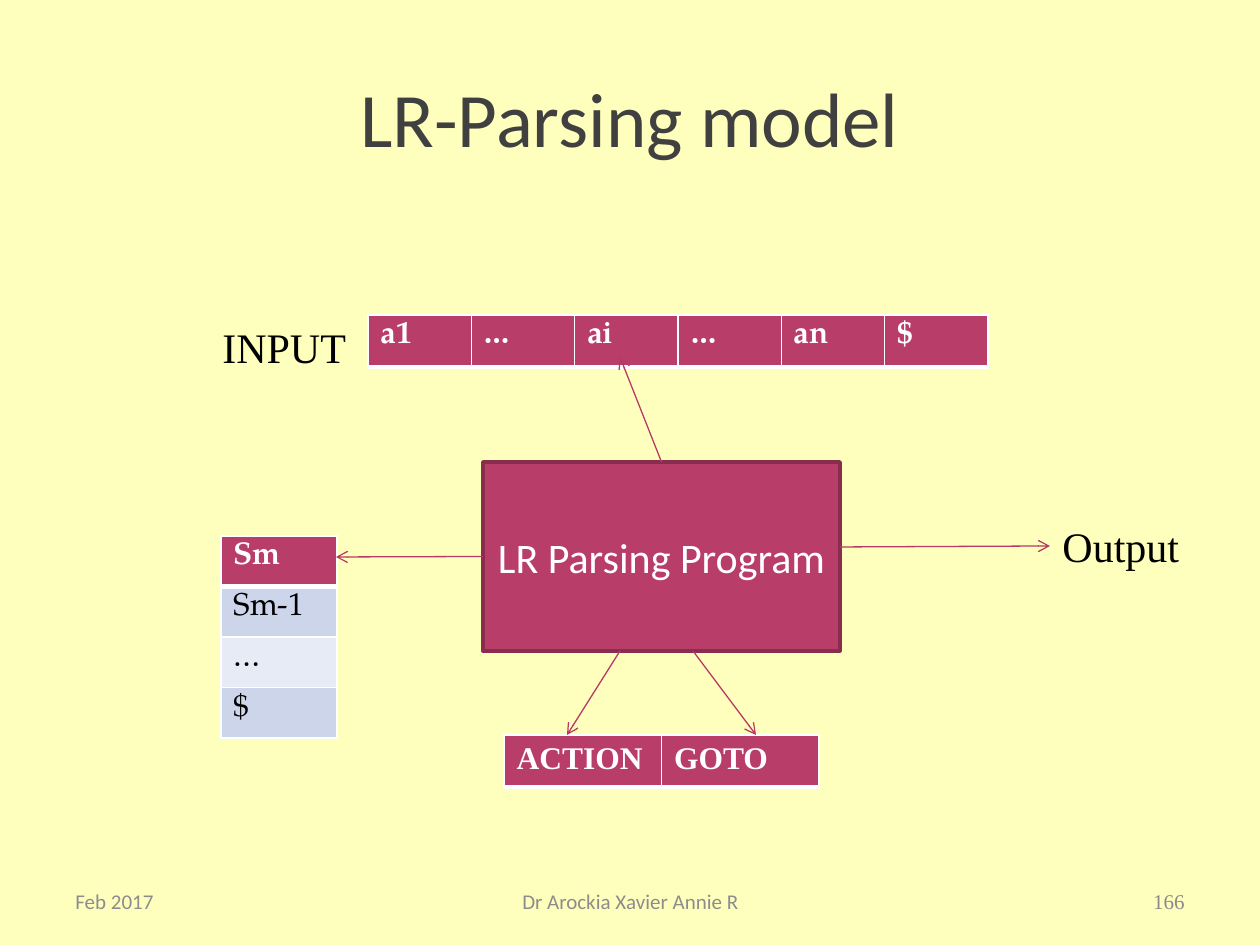
import pptx
import pptx.dml.color
import pptx.enum.shapes
import pptx.enum.text
import pptx.oxml
import pptx.oxml.ns
import pptx.util

THEME = {
    "background": "FFFFBD", "title": "404040", "footer": "8C8C8C", "number": "898989",
    "ink": "000000", "white": "FFFFFF", "accent": "B83D68", "edge": "882D4D",
    "arrow": "B73965", "band_dark": "CCD5EA", "band_light": "E7EBF5",
    "sans": "Calibri", "serif": "Times New Roman", "book": "TeX Gyre Pagella",
    "title_size": 44, "label_size": 24, "cell_size": 18, "footer_size": 12,
}
EMU_PER_PX = 914400 / 126
ALIGN = pptx.enum.text.PP_ALIGN
ANCHOR = pptx.enum.text.MSO_ANCHOR
AUTO = pptx.enum.text.MSO_AUTO_SIZE
NAMESPACE = pptx.oxml.ns.nsdecls("a")


def px(*lengths):
    return [pptx.util.Emu(round(length * EMU_PER_PX)) for length in lengths]


def write(frame, text, size, face, color, align=ALIGN.LEFT, bold=False):
    paragraph = frame.paragraphs[0]
    paragraph.text = text
    paragraph.alignment = align
    style = {"size": pptx.util.Pt(THEME[size]), "name": THEME[face], "bold": bold}
    for attribute, value in style.items():
        setattr(paragraph.runs[0].font, attribute, value)
    paragraph.runs[0].font.color.rgb = pptx.dml.color.RGBColor.from_string(THEME[color])


deck = pptx.Presentation()
deck.slide_width, deck.slide_height = px(1260, 945)
slide = deck.slides.add_slide(deck.slide_layouts[6])
slide.background.fill.solid()
slide.background.fill.fore_color.rgb = pptx.dml.color.RGBColor.from_string(THEME["background"])

# Tables: input buffer, state stack, parsing tables
tables = [
    ((368, 315, 620, 52), [["a1", "…", "ai", "…", "an", "$"]], "book"),
    ((221, 536, 116, 202), [["Sm"], ["Sm-1"], ["…"], ["$"]], "book"),
    ((504, 735, 315, 52), [["ACTION", "GOTO"]], "serif"),
]
for box, rows, face in tables:
    grid = slide.shapes.add_table(len(rows), len(rows[0]), *px(*box)).table
    grid.horz_banding = False
    for row, texts in enumerate(rows):
        header = row == 0
        fill = "accent" if header else ("band_dark" if row % 2 else "band_light")
        borders = {"lnL": 1, "lnR": 1, "lnT": 3 if row == 1 else 1, "lnB": 3 if header else 1}
        for column, text in enumerate(texts):
            cell = grid.cell(row, column)
            cell.fill.solid()
            cell.fill.fore_color.rgb = pptx.dml.color.RGBColor.from_string(THEME[fill])
            write(cell.text_frame, text, "cell_size", face,
                  "white" if header else "ink", bold=header)
            properties = cell._tc.get_or_add_tcPr()
            for place, (side, width) in enumerate(borders.items()):
                properties.insert(place, pptx.oxml.parse_xml(
                    f'<a:{side} {NAMESPACE} w="{pptx.util.Pt(width)}"><a:solidFill>'
                    f'<a:srgbClr val="{THEME["white"]}"/></a:solidFill></a:{side}>'))

# Title and footer
framed_texts = [
    ((63, 38, 1134, 158), "LR-Parsing model", "title_size", "sans", "title", ALIGN.CENTER),
    ((63, 876, 294, 50), "Feb 2017", "footer_size", "sans", "footer", ALIGN.LEFT),
    ((431, 876, 399, 50), "Dr Arockia Xavier Annie R", "footer_size", "sans", "footer",
     ALIGN.CENTER),
    ((903, 876, 294, 50), "166", "footer_size", "serif", "number", ALIGN.RIGHT),
]
for box, *content in framed_texts:
    frame = slide.shapes.add_textbox(*px(*box)).text_frame
    frame.word_wrap = True
    frame.vertical_anchor = ANCHOR.MIDDLE
    write(frame, *content)

# Input and output labels
for box, label in [((210, 315, 150, 64), "INPUT"), ((1050, 514, 144, 64), "Output")]:
    frame = slide.shapes.add_textbox(*px(*box)).text_frame
    frame.word_wrap = False
    frame.auto_size = AUTO.SHAPE_TO_FIT_TEXT
    write(frame, label, "label_size", "serif", "ink")

# Parsing program
program = slide.shapes.add_shape(
    pptx.enum.shapes.MSO_SHAPE.RECTANGLE, *px(483, 462, 357, 189))
program.shadow.inherit = False
program.fill.solid()
program.fill.fore_color.rgb = pptx.dml.color.RGBColor.from_string(THEME["accent"])
program.line.color.rgb = pptx.dml.color.RGBColor.from_string(THEME["edge"])
program.line.width = pptx.util.Pt(2)
program.text_frame.word_wrap = True
program.text_frame.vertical_anchor = ANCHOR.MIDDLE
write(program.text_frame, "LR Parsing Program", "label_size", "sans", "white", ALIGN.CENTER)

# Arrows out of the program: start, end, joined side of the program
arrows = [
    ((483, 557), (336, 557), 1),
    ((840, 547), (1050, 546), None),
    ((662, 462), (620, 357), 0),
    ((620, 651), (567, 735), None),
    ((693, 651), (756, 735), None),
]
for start, end, side in arrows:
    arrow = slide.shapes.add_connector(
        pptx.enum.shapes.MSO_CONNECTOR.STRAIGHT, *px(*start, *end))
    if side is not None:
        arrow.begin_connect(program, side)
    arrow.line.color.rgb = pptx.dml.color.RGBColor.from_string(THEME["arrow"])
    arrow.line.width = pptx.util.Pt(0.75)
    arrow.line._get_or_add_ln().append(
        pptx.oxml.parse_xml(f'<a:tailEnd {NAMESPACE} type="arrow"/>'))
    arrow._element.spPr.append(pptx.oxml.parse_xml(f"<a:effectLst {NAMESPACE}/>"))

deck.save("out.pptx")
